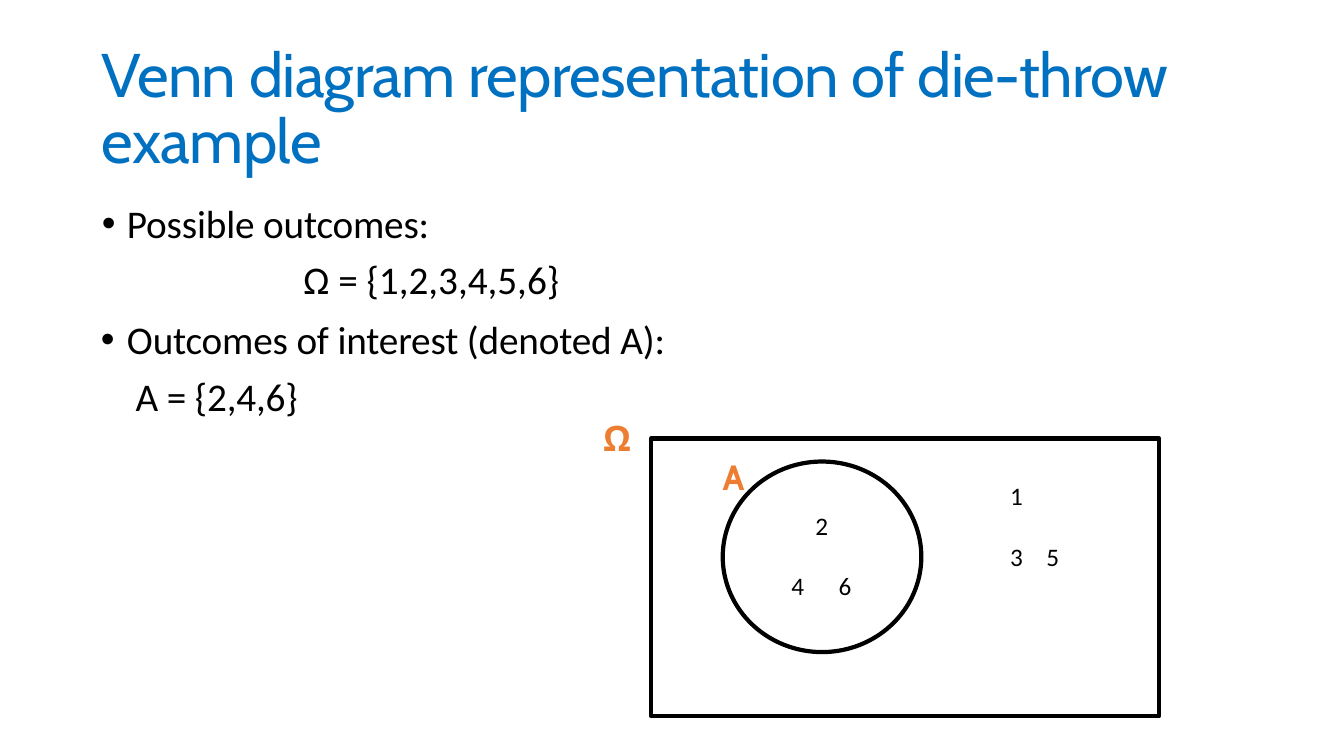
from dataclasses import dataclass, field

from lxml import etree
from pptx import Presentation
from pptx import util as u
from pptx.dml.color import RGBColor
from pptx.enum import shapes, text
from pptx.oxml import ns

BLUE = RGBColor(0x00, 0x70, 0xC0)
BLACK = RGBColor(0x00, 0x00, 0x00)
ORANGE = RGBColor(0xED, 0x7D, 0x31)

WIDE, HIGH = u.Inches(13.33), u.Inches(7.5)
COL, ROW = WIDE / 40, HIGH / 20  # grid of 40 columns by 20 rows

HEAD = {"name": "Cabin", "size": u.Pt(44), "bold": False}
LIST = {"name": "Calibri", "size": u.Pt(28), "bold": False}
DIGIT = {"name": "Calibri", "size": u.Pt(18), "bold": False}
LABEL = {"name": "Cabin", "size": u.Pt(25), "bold": True}


@dataclass
class Box:
    """A place on the grid, in columns and rows."""
    col: float
    row: float
    cols: float
    rows: float

    def rect(self) -> tuple[int, int, int, int]:
        return (round(self.col * COL), round(self.row * ROW),
                round(self.cols * COL), round(self.rows * ROW))


@dataclass
class Para:
    words: str
    font: dict
    color: RGBColor = BLACK
    form: dict = field(default_factory=dict)  # paragraph format values
    left: float = 0     # indents in inches
    hang: float = 0
    right: float = 0
    mark: str = ""
    track: int = 0      # letter spacing in hundredths of a point


@dataclass
class Note:
    box: Box
    para: Para


def apply(item, vals: dict) -> None:
    for key, val in vals.items():
        setattr(item, key, val)


def write(frame, paras: list[Para], top: float) -> None:
    apply(frame, {"margin_left": 0, "margin_right": 0, "margin_bottom": 0,
                  "margin_top": u.Inches(top), "word_wrap": True,
                  "auto_size": text.MSO_AUTO_SIZE.NONE,
                  "vertical_anchor": text.MSO_ANCHOR.TOP})
    frame.text = "\n".join(para.words for para in paras)
    for line, para in zip(frame.paragraphs, paras):
        apply(line, {"alignment": text.PP_ALIGN.LEFT, "line_spacing": 1.0,
                     "space_before": u.Pt(1)} | para.form)
        for run in line.runs:
            apply(run.font, para.font)
            run.font.color.rgb = para.color
            run.font._element.set("spc", str(para.track))
        # Indents and bullet
        props = line._p.get_or_add_pPr()
        for key, val in (("marL", para.left), ("indent", para.hang),
                         ("marR", para.right)):
            props.set(key, str(u.Inches(val)))
        if para.mark:
            face = etree.SubElement(props, ns.qn("a:buFont"))
            face.set("typeface", "Arial")
            etree.SubElement(props, ns.qn("a:buChar")).set("char", para.mark)
        else:
            etree.SubElement(props, ns.qn("a:buNone"))


def fill(holder, box: Box, paras: list[Para]) -> None:
    keys = ("left", "top", "width", "height")
    apply(holder, dict(zip(keys, box.rect())))
    write(holder.text_frame, paras, 0.1)


def ring(slide, kind: shapes.MSO_SHAPE, box: Box) -> None:
    shape = slide.shapes.add_shape(kind, *box.rect())
    shape.shadow.inherit = False
    shape.fill.background()
    shape.line.color.rgb = BLACK
    shape.line.width = u.Pt(3)


def place(slide, note: Note) -> None:
    area = slide.shapes.add_textbox(*note.box.rect())
    write(area.text_frame, [note.para], 0.01)


def digit(word: str, col: float, row: float) -> Note:
    return Note(Box(col, row, 0.45, 0.88), Para(word, DIGIT))


TITLE = Para("Venn diagram representation of die-throw example", HEAD, BLUE,
             {"line_spacing": u.Pt(47), "space_before": u.Pt(7.4)},
             left=0.01, track=-45)

BODY = [
    Para("Possible outcomes:", LIST, form={"space_before": u.Pt(7.2)},
         left=0.26, hang=-0.25, mark="•", track=-10),
    Para("Ω = {1,2,3,4,5,6}", LIST, form={"space_before": u.Pt(6.2)},
         left=2.01),
    Para("Outcomes of interest (denoted A):\v A = {2,4,6}", LIST,
         form={"space_before": u.Pt(1.7), "line_spacing": u.Pt(41)},
         left=0.26, hang=-0.26, mark="•", track=-10),
    Para("Ω", LABEL, ORANGE,
         {"alignment": text.PP_ALIGN.RIGHT, "line_spacing": u.Pt(28.1),
          "space_before": u.Pt(0)}, right=0.41, track=20),
]

# Outline of the sample space and of the event
RINGS = [
    (shapes.MSO_SHAPE.RECTANGLE, Box(19.38, 11.6, 15.12, 7.35)),
    (shapes.MSO_SHAPE.OVAL, Box(21.51, 12.21, 5.91, 5.04)),
]

# Outcomes in and outside the event, and its label
STEP = 1.6
EVEN, ODD = 13.47, 12.69  # first row of each group
NOTES = [
    digit("2", 24.27, EVEN),
    digit("4", 23.55, EVEN + STEP),
    digit("6", 24.96, EVEN + STEP),
    digit("1", 30.06, ODD),
    digit("3", 30.06, ODD + STEP),
    digit("5", 31.14, ODD + STEP),
    Note(Box(21.51, 12.03, 0.66, 1.17), Para("A", LABEL, ORANGE, track=-70)),
]


def main() -> None:
    deck = Presentation()
    apply(deck, {"slide_width": WIDE, "slide_height": HIGH})
    slide = deck.slides.add_slide(deck.slide_layouts[1])
    fill(slide.shapes.title, Box(3, 0.91, 34, 3.76), [TITLE])
    fill(slide.placeholders[1], Box(3, 5.01, 17, 7.17), BODY)
    for kind, box in RINGS:
        ring(slide, kind, box)
    for note in NOTES:
        place(slide, note)
    deck.save("out.pptx")


if __name__ == "__main__":
    main()
